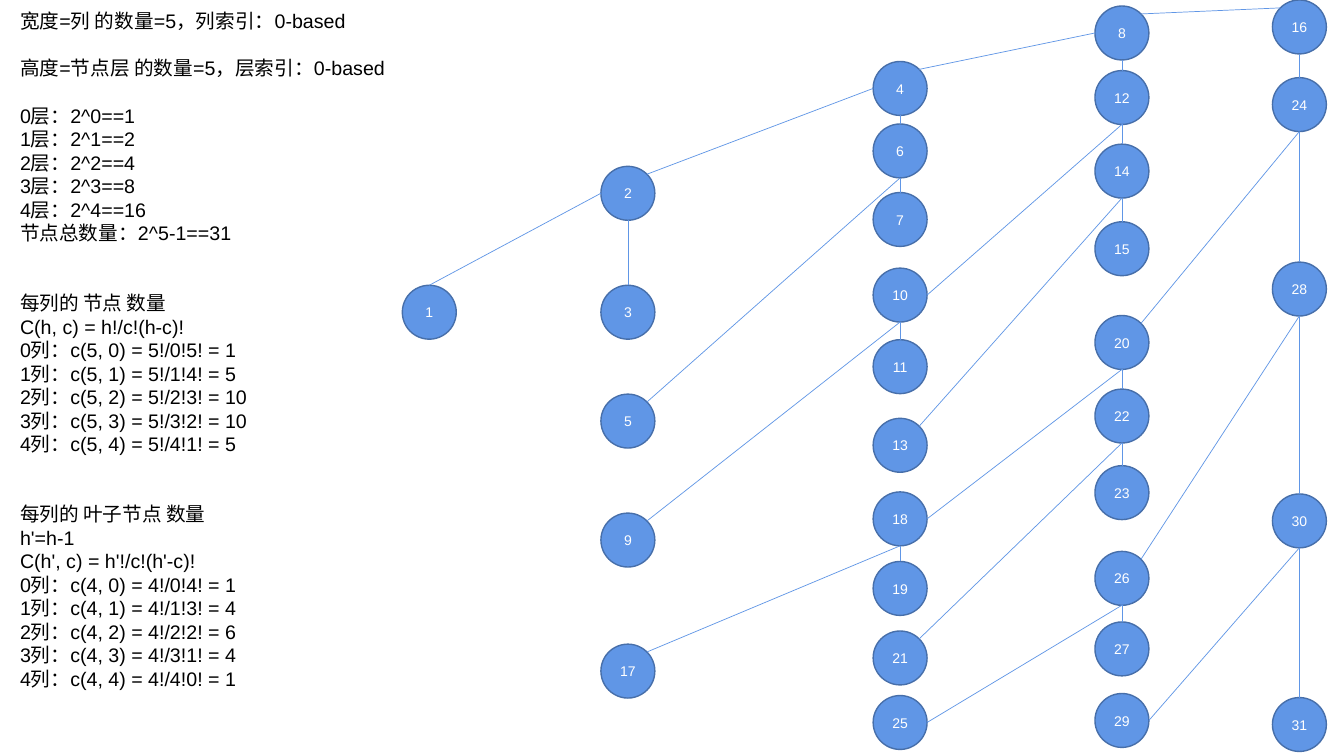
from pptx import Presentation
from pptx.dml.color import RGBColor
from pptx.enum.shapes import MSO_CONNECTOR, MSO_SHAPE
from pptx.enum.text import MSO_ANCHOR, PP_ALIGN
from pptx.util import Inches, Pt
from lxml.etree import SubElement
from pptx.oxml.ns import qn
from math import sqrt

COLORS = {"node": "6096E6", "rim": "476FAA", "label": "FFFFFF", "text": "000000"}
FONT = "Arial"
COLS, ROWS = 133.3, 75
NODE = 5.35
DIAG = sqrt(0.5)
SITES = {"top": (0, -1), "left": (-1, 0), "bottom": (0, 1), "right": (1, 0),
         "top_left": (-DIAG, -DIAG), "top_right": (DIAG, -DIAG)}


class Board:
    def __init__(self, prs):
        self.unit = prs.slide_width / COLS
        self.s = prs.slides.add_slide(prs.slide_layouts[6])

    def grid(self, *cells):
        return [round(c * self.unit) for c in cells]

    def color(self, name):
        return RGBColor.from_string(COLORS[name])

    def run(self, p, text, size, color):
        r = p.add_run()
        r.text = text
        r.font.size = Pt(size)
        r.font.name = FONT
        r.font.color.rgb = self.color(color)

    def node(self, col, row, text):
        sp = self.s.shapes.add_shape(MSO_SHAPE.OVAL, *self.grid(col, row, NODE, NODE))
        sp.shadow.inherit = False
        sp.fill.solid()
        sp.fill.fore_color.rgb = self.color("node")
        sp.line.color.rgb = self.color("rim")
        sp.line.width = Pt(1)
        tf = sp.text_frame
        tf.vertical_anchor = MSO_ANCHOR.MIDDLE
        p = tf.paragraphs[0]
        p.alignment = PP_ALIGN.CENTER
        self.run(p, text, 10, "label")

    def edge(self, start, end):
        ln = self.s.shapes.add_connector(MSO_CONNECTOR.STRAIGHT, *self.grid(*start, *end))
        ln.line.color.rgb = self.color("node")
        ln.line.width = Pt(0.5)
        SubElement(ln._element.spPr, qn("a:effectLst"))

    def text(self, col, row, width, height, blocks):
        sp = self.s.shapes.add_textbox(*self.grid(col, row, width, height))
        tf = sp.text_frame
        tf.word_wrap = True
        p = tf.paragraphs[0]
        for gap, lines in blocks:
            for i, line in enumerate(lines):
                if p.runs:
                    p = tf.add_paragraph()
                p.space_before = Pt(0 if i else gap)
                self.run(p, line, 14, "text")


LEFTS = [39.9, 59.6, 86.6, 108.6, 126.2]
TOPS = {
    1: 28.3,
    2: 16.5, 3: 28.3, 5: 39.1, 9: 50.9, 17: 63.9,
    4: 6.1, 6: 12.3, 7: 19.1, 10: 26.6, 11: 33.7, 13: 41.5, 18: 48.8,
    19: 55.7, 21: 62.6, 25: 69.0,
    8: 0.6, 12: 7.0, 14: 14.3, 15: 22.0, 20: 31.3, 22: 38.6, 23: 46.2,
    26: 54.7, 27: 61.7, 29: 68.8,
    16: 0, 24: 7.7, 28: 26.0, 30: 49.0, 31: 69.2,
}
ENTRY = {1: "top", 10: "right", 18: "right", 25: "right", 29: "right"}


def column(n):
    return bin(n | (n - 1)).count("1") - 1


def site(n, name):
    dx, dy = SITES[name]
    half = NODE / 2
    return LEFTS[column(n)] + half * (1 + dx), TOPS[n] + half * (1 + dy)


def exit_site(n):
    if n == 16:
        return "top_left"
    return "left" if n & (n - 1) == 0 else "bottom"


def counts(h, values, mark=""):
    return [f"C(h{mark}, c) = h{mark}!/c!(h{mark}-c)!"] + [
        f"{c}列：c({h}, {c}) = {h}!/{c}!{h - c}! = {v}" for c, v in enumerate(values)]


NOTES = [
    (0, ["宽度=列 的数量=5，列索引：0-based"]),
    (17, ["高度=节点层 的数量=5，层索引：0-based"]),
    (17, [f"{i}层：2^{i}=={2 ** i}" for i in range(5)] + ["节点总数量：2^5-1==31"]),
    (33, ["每列的 节点 数量"] + counts(5, [1, 5, 10, 10, 5])),
    (33, ["每列的 叶子节点 数量", "h'=h-1"] + counts(4, [1, 4, 6, 4, 1], "'")),
]

prs = Presentation()
prs.slide_width, prs.slide_height = Inches(COLS / 10), Inches(ROWS / 10)
board = Board(prs)
for n, top in TOPS.items():
    board.node(LEFTS[column(n)], top, str(n))
for n in range(2, 31, 2):
    step = (n & -n) // 2
    left, right = n - step, n + step
    board.edge(site(n, exit_site(n)), site(left, ENTRY.get(left, "top_right")))
    board.edge(site(n, "bottom"), site(right, "top"))
board.text(1, 0.4, 38.2, 69.3, NOTES)
prs.save("out.pptx")
